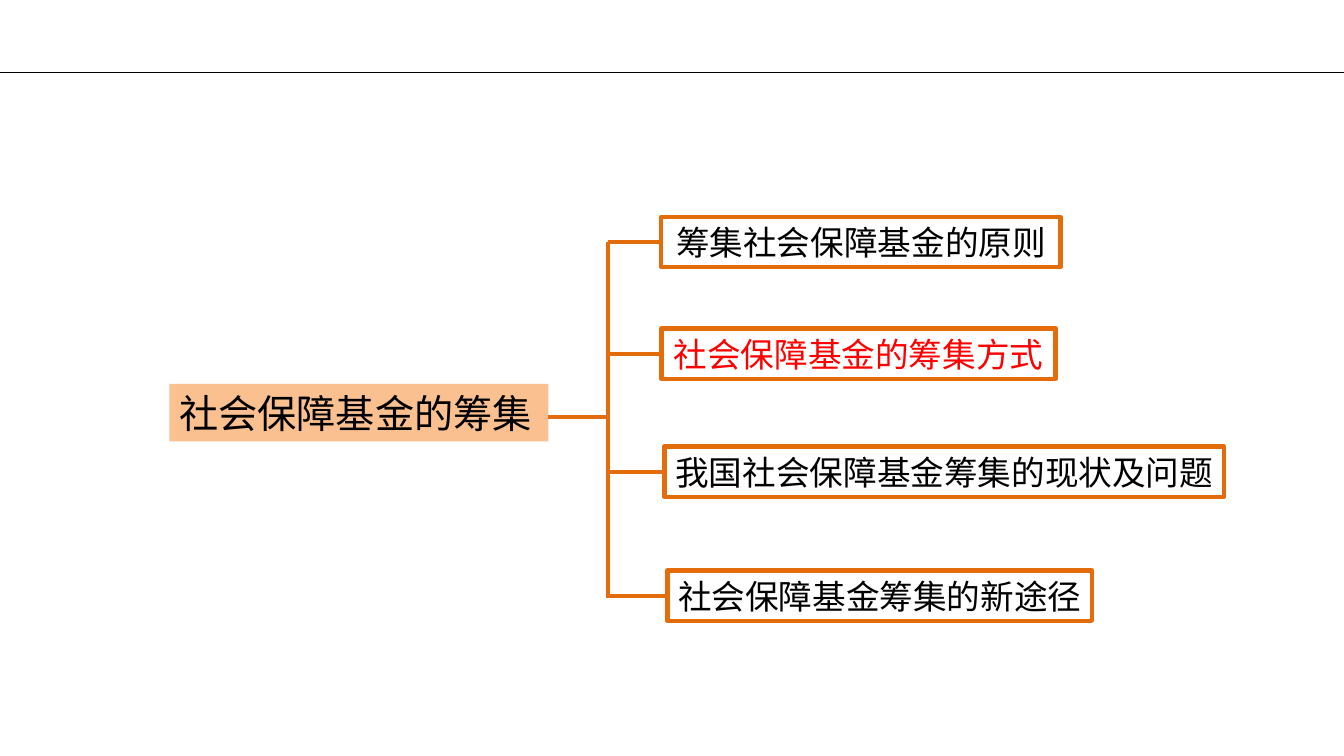
from lxml import etree
from pptx import Presentation
from pptx.dml.color import RGBColor
from pptx.enum.shapes import MSO_CONNECTOR, MSO_SHAPE
from pptx.enum.text import MSO_ANCHOR, MSO_AUTO_SIZE, PP_ALIGN
from pptx.oxml.ns import qn
from pptx.util import Inches, Pt

COLORS = {"rule": "000000", "text": "000000", "accent": "FF0000",
          "branch": "E46C0A", "root": "FAC090"}
FONT = "Calibri"
WIDTH, HEIGHT = 13.33, 7.5
BOX_H = 0.5

# Text, left, top, width, text colour
BRANCHES = [
    ("筹集社会保障基金的原则", 6.56, 2.15, 3.96, "text"),
    ("社会保障基金的筹集方式", 6.56, 3.26, 3.91, "accent"),
    ("我国社会保障基金筹集的现状及问题", 6.59, 4.43, 5.55, "text"),
    ("社会保障基金筹集的新途径", 6.62, 5.66, 4.21, "text"),
]


def rgb(name):
    return RGBColor.from_string(COLORS[name])


def add_line(s, x1, y1, x2, y2, color, weight):
    line = s.shapes.add_connector(MSO_CONNECTOR.STRAIGHT, Inches(x1),
                                  Inches(y1), Inches(x2), Inches(y2))
    line.line.color.rgb = rgb(color)
    line.line.width = Pt(weight)
    etree.SubElement(line._element.spPr, qn("a:effectLst"))


def add_box(s, text, x, y, w, h, size, color, align, fill=None, border=None):
    sp = s.shapes.add_shape(MSO_SHAPE.RECTANGLE, Inches(x), Inches(y),
                            Inches(w), Inches(h))
    sp.shadow.inherit = False
    if fill:
        sp.fill.solid()
        sp.fill.fore_color.rgb = rgb(fill)
    else:
        sp.fill.background()
    if border:
        sp.line.color.rgb = rgb(border)
        sp.line.width = Pt(3)
    else:
        sp.line.fill.background()
    tf = sp.text_frame
    tf.word_wrap = True
    tf.auto_size = MSO_AUTO_SIZE.SHAPE_TO_FIT_TEXT
    tf.vertical_anchor = MSO_ANCHOR.TOP
    p = tf.paragraphs[0]
    p.text = text
    p.alignment = align
    p.font.name = FONT
    p.font.size = Pt(size)
    p.font.color.rgb = rgb(color)


def add_header(s, y):
    add_line(s, 0, y, WIDTH, y, "rule", 1)


def add_tree(s, x, y, w, h, spine_x):
    # Root topic and its stem
    add_box(s, "社会保障基金的筹集", x, y, w, h, 28, "text",
            PP_ALIGN.LEFT, fill="root")
    stem_y = y + 0.33
    add_line(s, x + w, stem_y, spine_x, stem_y, "branch", 3)

    # Branches, each joined to the spine at mid height
    for text, left, top, width, color in BRANCHES:
        mid = top + BOX_H / 2
        add_line(s, spine_x, mid, left, mid, "branch", 3)
        add_box(s, text, left, top, width, BOX_H, 24, color,
                PP_ALIGN.CENTER, border="branch")

    # Spine from the first branch to the last
    first, last = (BRANCHES[i][2] + BOX_H / 2 for i in (0, -1))
    add_line(s, spine_x, first, spine_x, last + 0.02, "branch", 3)


def main():
    prs = Presentation()
    prs.slide_width, prs.slide_height = Inches(WIDTH), Inches(HEIGHT)
    s = prs.slides.add_slide(prs.slide_layouts[6])
    add_header(s, 0.72)
    add_tree(s, 1.68, 3.81, 3.76, 0.57, spine_x=6.03)
    prs.save("out.pptx")


if __name__ == "__main__":
    main()
